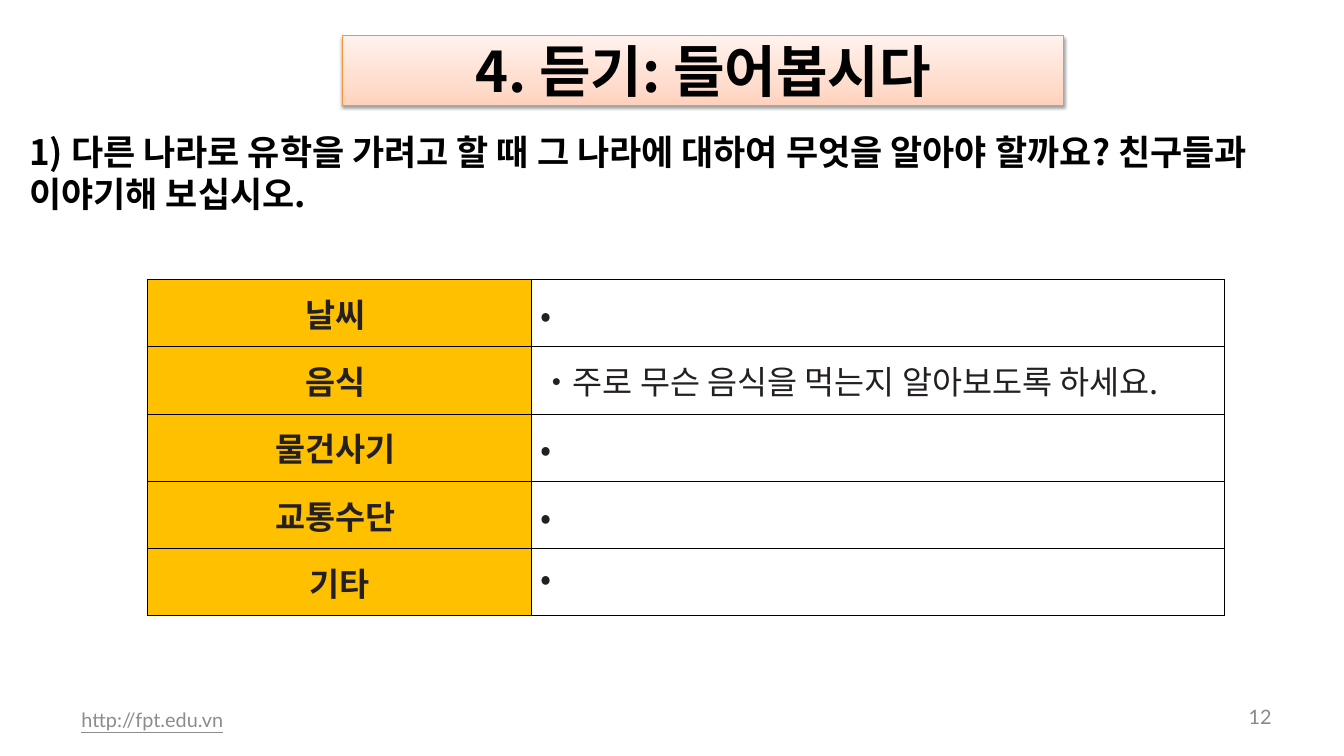
from dataclasses import dataclass

from lxml import etree
from pptx import Presentation
from pptx.dml.color import RGBColor
from pptx.enum.shapes import MSO_SHAPE
from pptx.enum.text import MSO_ANCHOR, PP_ALIGN
from pptx.oxml.ns import qn
from pptx.util import Inches, Pt

RECTANGLE = MSO_SHAPE.RECTANGLE
TOP, MIDDLE = MSO_ANCHOR.TOP, MSO_ANCHOR.MIDDLE
LEFT, CENTER, RIGHT = PP_ALIGN.LEFT, PP_ALIGN.CENTER, PP_ALIGN.RIGHT


@dataclass(frozen=True)
class Theme:
    latin: str = "Lato"
    korean: str = "Noto Sans CJK KR"
    black: str = "000000"
    ink: str = "242021"
    topic_fill: str = "FFC000"
    banner_line: str = "F69240"
    banner_stops: tuple = ((0, "FFD2BD"), (35, "FFDED0"), (100, "FFF2ED"))
    link: str = "8C8C8C"
    number: str = "898989"
    title_size: int = 48
    question_size: int = 30
    table_size: int = 28
    footer_size: int = 17


THEME = Theme()


@dataclass(frozen=True)
class Style:
    size: int
    color: str
    name: str = THEME.korean
    bold: bool = False
    underline: bool = False
    align: PP_ALIGN = LEFT
    anchor: MSO_ANCHOR = MIDDLE


@dataclass(frozen=True)
class Label:
    text: str
    box: tuple[float, float, float, float]
    margins: tuple[float, float]
    style: Style


@dataclass(frozen=True)
class Topic:
    name: str
    note: str = "•"
    note_anchor: MSO_ANCHOR = MIDDLE


LABELS = (
    Label("http://fpt.edu.vn", (0.83, 8.33, 5.07, 0.48), (0.14, 0.07),
          Style(THEME.footer_size, THEME.link, THEME.latin, underline=True)),
    Label("12", (14.5, 8.33, 0.78, 0.41), (0.14, 0.07),
          Style(THEME.footer_size, THEME.number, THEME.latin, align=RIGHT)),
    Label("1) 다른 나라로 유학을 가려고 할 때 그 나라에 대하여 무엇을 알아야 할까요? "
          "친구들과 이야기해 보십시오.", (0.25, 1.5, 15.75, 0.67), (0.1, 0.05),
          Style(THEME.question_size, THEME.black, bold=True, anchor=TOP)),
)
BANNER = Label("4. 듣기: 들어봅시다", (4.08, 0.42, 8.58, 0.83), (0.1, 0.05),
               Style(THEME.title_size, THEME.black, bold=True, align=CENTER))
TOPICS = (
    Topic("날씨 "),
    Topic("음식 ", "•주로 무슨 음식을 먹는지 알아보도록 하세요."),
    Topic("물건사기 "),
    Topic("교통수단 "),
    Topic("기타", note_anchor=TOP),
)
TABLE_LEFT, TABLE_TOP = 1.75, 3.33
COLUMN_WIDTHS = (4.58, 8.25)
ROW_HEIGHT = 0.8


def add_color(parent, color: str):
    return etree.SubElement(parent, qn("a:srgbClr"), val=color)


def write(frame, text: str, style: Style) -> None:
    paragraph = frame.paragraphs[0]
    paragraph.alignment = style.align
    run = paragraph.add_run()
    run.text = text
    font_format = {"name": style.name, "size": Pt(style.size),
                   "bold": style.bold, "underline": style.underline}
    for attribute, value in font_format.items():
        setattr(run.font, attribute, value)
    run.font.color.rgb = RGBColor.from_string(style.color)
    latin = run.font._element.find(qn("a:latin"))
    east_asian = etree.Element(qn("a:ea"), typeface=style.name)
    latin.addnext(east_asian)


def fill_label(shape, label: Label) -> None:
    side, edge = map(Inches, label.margins)
    frame_format = {"word_wrap": True, "vertical_anchor": label.style.anchor,
                    "margin_left": side, "margin_right": side,
                    "margin_top": edge, "margin_bottom": edge}
    for attribute, value in frame_format.items():
        setattr(shape.text_frame, attribute, value)
    write(shape.text_frame, label.text, label.style)


def add_banner(slide, label: Label) -> None:
    banner = slide.shapes.add_shape(RECTANGLE, *map(Inches, label.box))
    banner.fill.gradient()
    banner.fill.gradient_angle = 90
    banner.line.color.rgb = RGBColor.from_string(THEME.banner_line)
    banner.line.width = Pt(0.75)
    banner.shadow.inherit = False
    properties = banner._element.spPr

    # Three-stop gradient
    stops = properties.find(qn("a:gradFill")).find(qn("a:gsLst"))
    for stop in list(stops):
        stops.remove(stop)
    for percent, color in THEME.banner_stops:
        add_color(etree.SubElement(stops, qn("a:gs"), pos=str(percent * 1000)), color)

    # Soft shadow below
    shadow = etree.SubElement(
        properties.find(qn("a:effectLst")), qn("a:outerShdw"),
        blurRad=str(Pt(3.1)), dist=str(Pt(1.6)), dir="5400000", rotWithShape="0")
    etree.SubElement(add_color(shadow, THEME.black), qn("a:alpha"), val="38000")
    fill_label(banner, label)


def add_borders(cell) -> None:
    properties = cell._tc.get_or_add_tcPr()
    for index, side in enumerate(("lnL", "lnR", "lnT", "lnB")):
        line = etree.Element(qn(f"a:{side}"), w=str(Pt(1)))
        add_color(etree.SubElement(line, qn("a:solidFill")), THEME.black)
        properties.insert(index, line)


def fill_cell(cell, text: str, style: Style, color: str | None = None) -> None:
    if color:
        cell.fill.solid()
        cell.fill.fore_color.rgb = RGBColor.from_string(color)
    else:
        cell.fill.background()
    cell.vertical_anchor = style.anchor
    write(cell.text_frame, text, style)
    add_borders(cell)


def add_topics(slide) -> None:
    table = slide.shapes.add_table(
        len(TOPICS), len(COLUMN_WIDTHS), Inches(TABLE_LEFT), Inches(TABLE_TOP),
        Inches(sum(COLUMN_WIDTHS)), Inches(ROW_HEIGHT * len(TOPICS))).table
    table.first_row = table.horz_banding = False
    for column, width in zip(table.columns, COLUMN_WIDTHS):
        column.width = Inches(width)
    name_style = Style(THEME.table_size, THEME.ink, bold=True, align=CENTER)
    for row, topic in zip(table.rows, TOPICS):
        row.height = Inches(ROW_HEIGHT)
        name_cell, note_cell = row.cells
        fill_cell(name_cell, topic.name, name_style, THEME.topic_fill)
        fill_cell(note_cell, topic.note,
                  Style(THEME.table_size, THEME.ink, anchor=topic.note_anchor))


def main() -> None:
    presentation = Presentation()
    presentation.slide_width, presentation.slide_height = Inches(16), Inches(9)
    slide = presentation.slides.add_slide(presentation.slide_layouts[6])

    # Footer and question
    for label in LABELS:
        fill_label(slide.shapes.add_textbox(*map(Inches, label.box)), label)
    # Title and topics to talk about
    add_banner(slide, BANNER)
    add_topics(slide)
    presentation.save("out.pptx")


if __name__ == "__main__":
    main()
